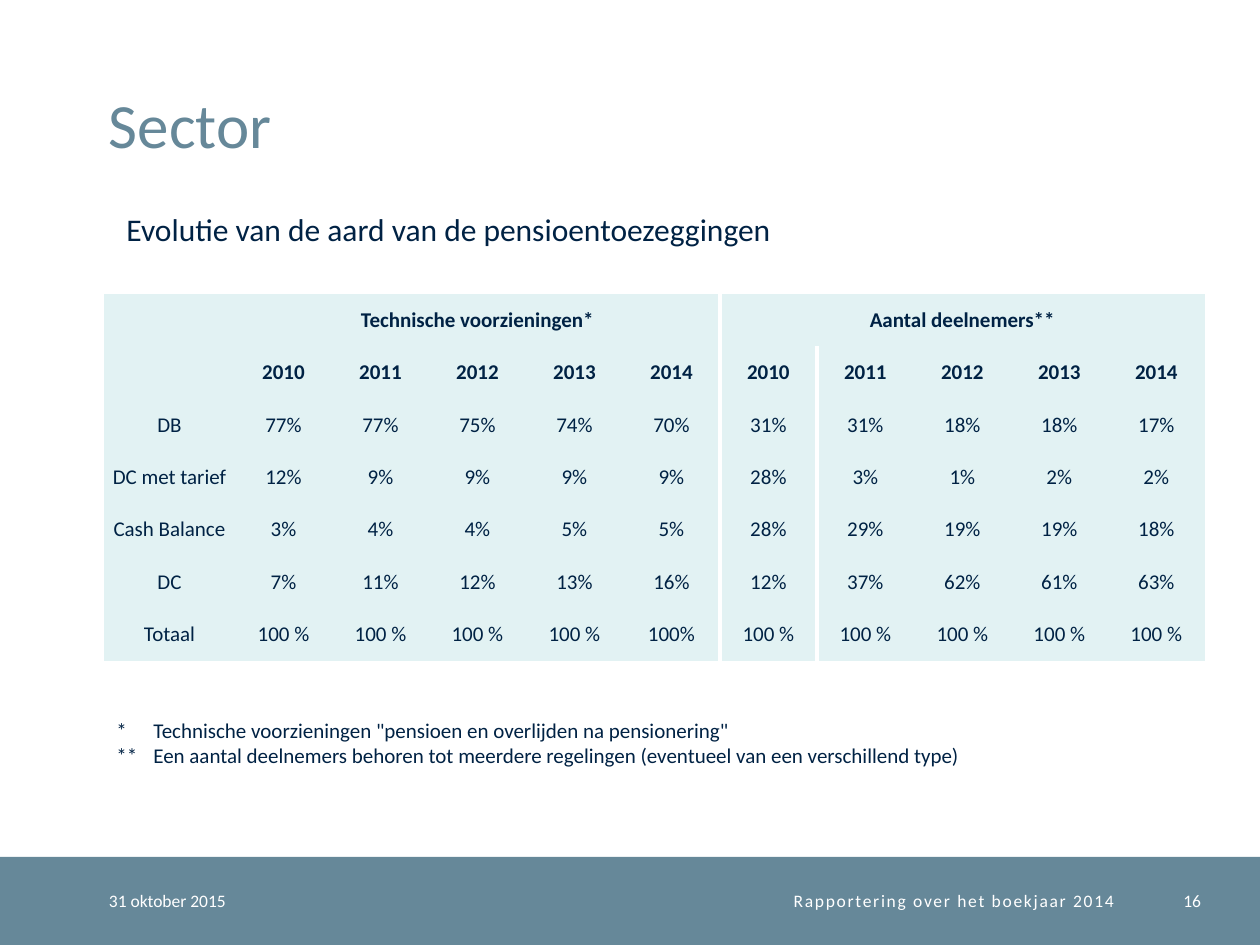
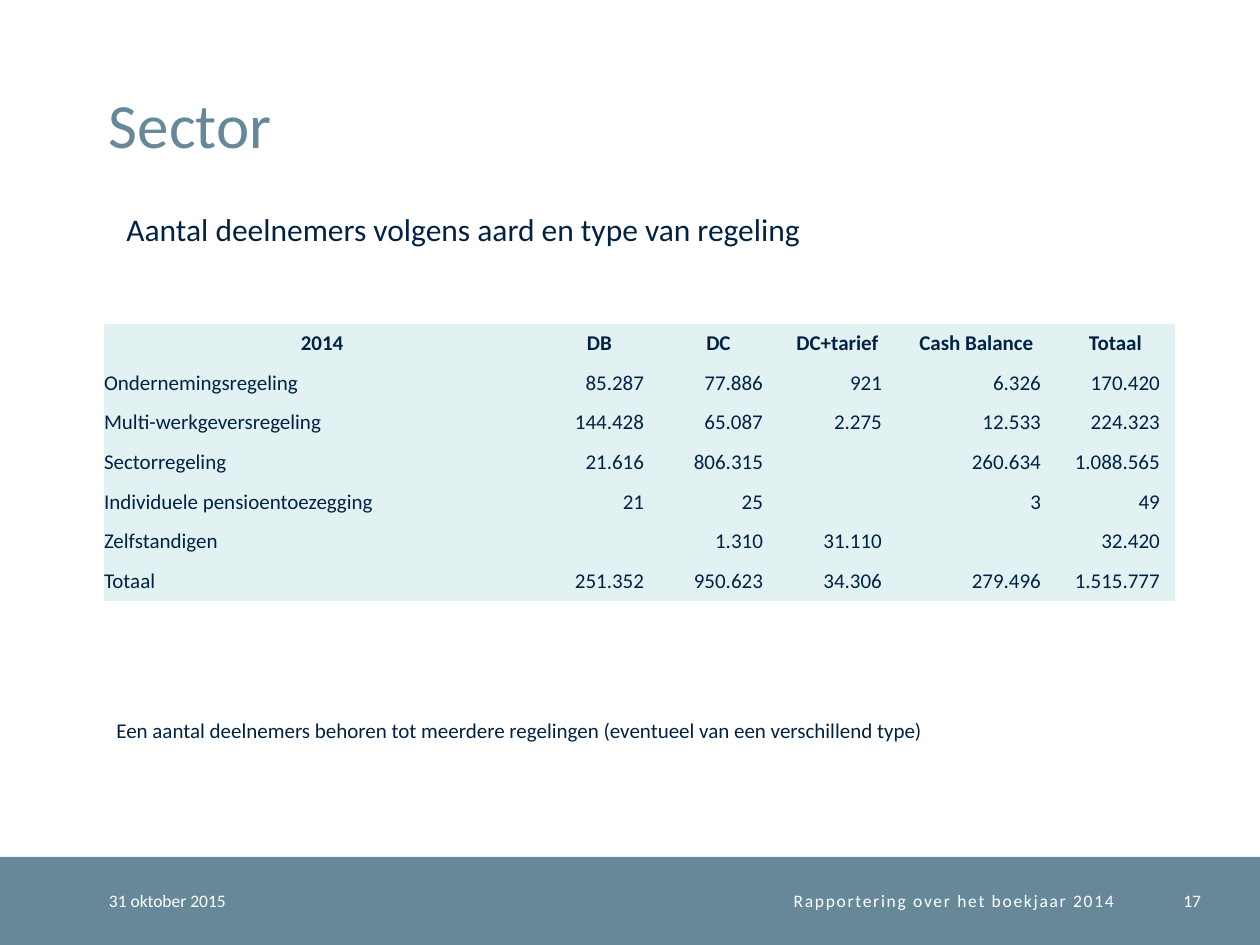
from pptx import Presentation
from pptx import util as u
from pptx.dml.color import RGBColor
from pptx.enum import shapes, text
from pptx.oxml import parse_xml
from pptx.oxml.ns import nsdecls

SLATE = RGBColor(0x66, 0x88, 0x99)
NAVY = RGBColor(0x00, 0x22, 0x44)
MIST = RGBColor(0xE2, 0xF2, 0xF3)
WHITE = RGBColor(0xFF, 0xFF, 0xFF)
FONT = "Calibri"
PLAIN_TABLE = "{2D5ABB26-0587-4C30-8999-92F81FD0307C}"
LEFT, CENTER, RIGHT = text.PP_ALIGN.LEFT, text.PP_ALIGN.CENTER, text.PP_ALIGN.RIGHT
MIDDLE, BOTTOM = text.MSO_ANCHOR.MIDDLE, text.MSO_ANCHOR.BOTTOM

TITLE = "Sector"
DATE = "31 oktober 2015"
REPORT = "Rapportering over het boekjaar 2014"
FIRST_PAGE = 16

YEARS = ["2010", "2011", "2012", "2013", "2014"]
COMMITMENTS = {
    "subtitle": "Evolutie van de aard van de pensioentoezeggingen",
    "rows": [
        ["", "Technische voorzieningen*", "", "", "", "", "Aantal deelnemers**", "", "", "", ""],
        ["", *YEARS, *YEARS],
        ["DB", "77%", "77%", "75%", "74%", "70%", "31%", "31%", "18%", "18%", "17%"],
        ["DC met tarief", "12%", "9%", "9%", "9%", "9%", "28%", "3%", "1%", "2%", "2%"],
        ["Cash Balance", "3%", "4%", "4%", "5%", "5%", "28%", "29%", "19%", "19%", "18%"],
        ["DC", "7%", "11%", "12%", "13%", "16%", "12%", "37%", "62%", "61%", "63%"],
        ["Totaal", *["100 %"] * 4, "100%", *["100 %"] * 5],
    ],
    "header_rows": 2,
    "aligns": (CENTER, CENTER),
    "number_inset": 0,
    "top": 294,
    "height": 367,
    "widths": [131] + [97] * 10,
    "merges": [((0, 0), (1, 0)), ((0, 1), (0, 5)), ((0, 6), (0, 10))],
    "divider_after": 5,
    "notes": [
        '*\tTechnische voorzieningen "pensioen en overlijden na pensionering"',
        "**\tEen aantal deelnemers behoren tot meerdere regelingen (eventueel van een verschillend type)",
    ],
    "note_indent": 37,
}
MEMBERS = {
    "subtitle": "Aantal deelnemers volgens aard en type van regeling",
    "rows": [
        ["2014", "DB", "DC", "DC+tarief", "Cash Balance", "Totaal"],
        ["Ondernemingsregeling", "85.287", "77.886", "921", "6.326", "170.420"],
        ["Multi-werkgeversregeling", "144.428", "65.087", "2.275", "12.533", "224.323"],
        ["Sectorregeling", "21.616", "806.315", "", "260.634", "1.088.565"],
        ["Individuele pensioentoezegging", "21", "25", "", "3", "49"],
        ["Zelfstandigen", "", "1.310", "31.110", "", "32.420"],
        ["Totaal", "251.352", "950.623", "34.306", "279.496", "1.515.777"],
    ],
    "header_rows": 1,
    "aligns": (LEFT, RIGHT),
    "number_inset": 15,
    "top": 324,
    "height": 277,
    "widths": [436, 119, 119, 119, 159, 119],
    "merges": [],
    "divider_after": None,
    "notes": ["Een aantal deelnemers behoren tot meerdere regelingen (eventueel van een verschillend type)"],
    "note_indent": 0,
}

TABLE_LEFT = 104
FOOTER_TOP, FOOTER_HEIGHT = 857, 88


def px(length):
    return u.Emu(round(length * 914400 / 126))


def write(paragraph, words, size, color, align=LEFT, bold=False):
    paragraph.alignment = align
    run = paragraph.add_run()
    run.text = words
    font = run.font
    font.name, font.size, font.bold = FONT, u.Pt(size), bold
    font.color.rgb = color
    return run


def clear_margins(part):
    part.margin_left = part.margin_right = part.margin_top = part.margin_bottom = 0


def add_text(slide, box, lines, size, color, align=LEFT):
    frame = slide.shapes.add_textbox(*map(px, box)).text_frame
    frame.word_wrap = True
    for number, line in enumerate(lines):
        paragraph = frame.add_paragraph() if number else frame.paragraphs[0]
        write(paragraph, line, size, color, align)
    return frame


def add_title(slide):
    title = slide.shapes.title
    title.left, title.top, title.width, title.height = map(px, (109, 25, 1088, 136))
    frame = title.text_frame
    clear_margins(frame)
    frame.auto_size = text.MSO_AUTO_SIZE.NONE
    frame.vertical_anchor = BOTTOM
    frame.paragraphs[0].line_spacing = u.Pt(32)
    write(frame.paragraphs[0], TITLE, 36, SLATE)


def add_footer(slide, page):
    band = slide.shapes.add_shape(
        shapes.MSO_SHAPE.RECTANGLE, *map(px, (0, FOOTER_TOP, 1260, FOOTER_HEIGHT)))
    band.shadow.inherit = False
    band.fill.solid()
    band.fill.fore_color.rgb = SLATE
    band.line.fill.background()
    for words, left, width, align, spacing in [
        (DATE, 109, 223, LEFT, 0),
        (REPORT, 333, 781, RIGHT, 100),
        (str(page), 1139, 62, RIGHT, 0),
    ]:
        frame = add_text(slide, (left, FOOTER_TOP, width, FOOTER_HEIGHT), [words], 10, WHITE, align)
        clear_margins(frame)
        frame.vertical_anchor = MIDDLE
        if spacing:
            frame.paragraphs[0].runs[0].font._element.set("spc", str(spacing))


def add_divider(cell, side):
    border = parse_xml(
        f'<a:{side} {nsdecls("a")} w="38100"><a:solidFill>'
        f'<a:srgbClr val="{WHITE}"/></a:solidFill></a:{side}>')
    cell._tc.get_or_add_tcPr().insert(0, border)


def add_figures(slide, content):
    rows, widths = content["rows"], content["widths"]
    frame = slide.shapes.add_table(
        len(rows), len(widths),
        *map(px, (TABLE_LEFT, content["top"], sum(widths), content["height"])))
    table = frame.table
    table._tbl.tblPr.find("{*}tableStyleId").text = PLAIN_TABLE
    table.horz_banding = False
    for column, width in zip(table.columns, widths):
        column.width = px(width)
    for row in table.rows:
        row.height = px(content["height"] / len(rows))

    for r, row in enumerate(rows):
        header = r < content["header_rows"]
        for c, words in enumerate(row):
            cell = table.cell(r, c)
            clear_margins(cell)
            cell.vertical_anchor = MIDDLE
            cell.fill.solid()
            cell.fill.fore_color.rgb = MIST
            if c and not header:
                cell.margin_right = px(content["number_inset"])
            if words:
                align = CENTER if header else content["aligns"][c > 0]
                write(cell.text_frame.paragraphs[0], words, 12, NAVY, align, header)
        divider = content["divider_after"]
        if divider is not None:
            add_divider(table.cell(r, divider), "lnR")
            add_divider(table.cell(r, divider + 1), "lnL")
    for first, last in content["merges"]:
        table.cell(*first).merge(table.cell(*last))
        if first[0] == 0 and first[1] == 1:
            add_divider(table.cell(*first), "lnR")


def add_notes(slide, content):
    notes = content["notes"]
    frame = add_text(slide, (TABLE_LEFT, 711, 1101, 13 + 25 * len(notes)), notes, 12, NAVY)
    indent = px(content["note_indent"])
    if indent:
        for paragraph in frame.paragraphs:
            properties = paragraph._p.get_or_add_pPr()
            properties.set("marL", str(indent))
            properties.set("indent", str(-indent))


def main():
    deck = Presentation()
    deck.slide_width, deck.slide_height = px(1260), px(945)
    for page, content in enumerate([COMMITMENTS, MEMBERS], FIRST_PAGE):
        slide = deck.slides.add_slide(deck.slide_layouts[5])
        add_footer(slide, page)
        add_title(slide)
        add_text(slide, (114, 204, 1062, 51), [content["subtitle"]], 18, NAVY)
        add_figures(slide, content)
        add_notes(slide, content)
    deck.save("out.pptx")


if __name__ == "__main__":
    main()
